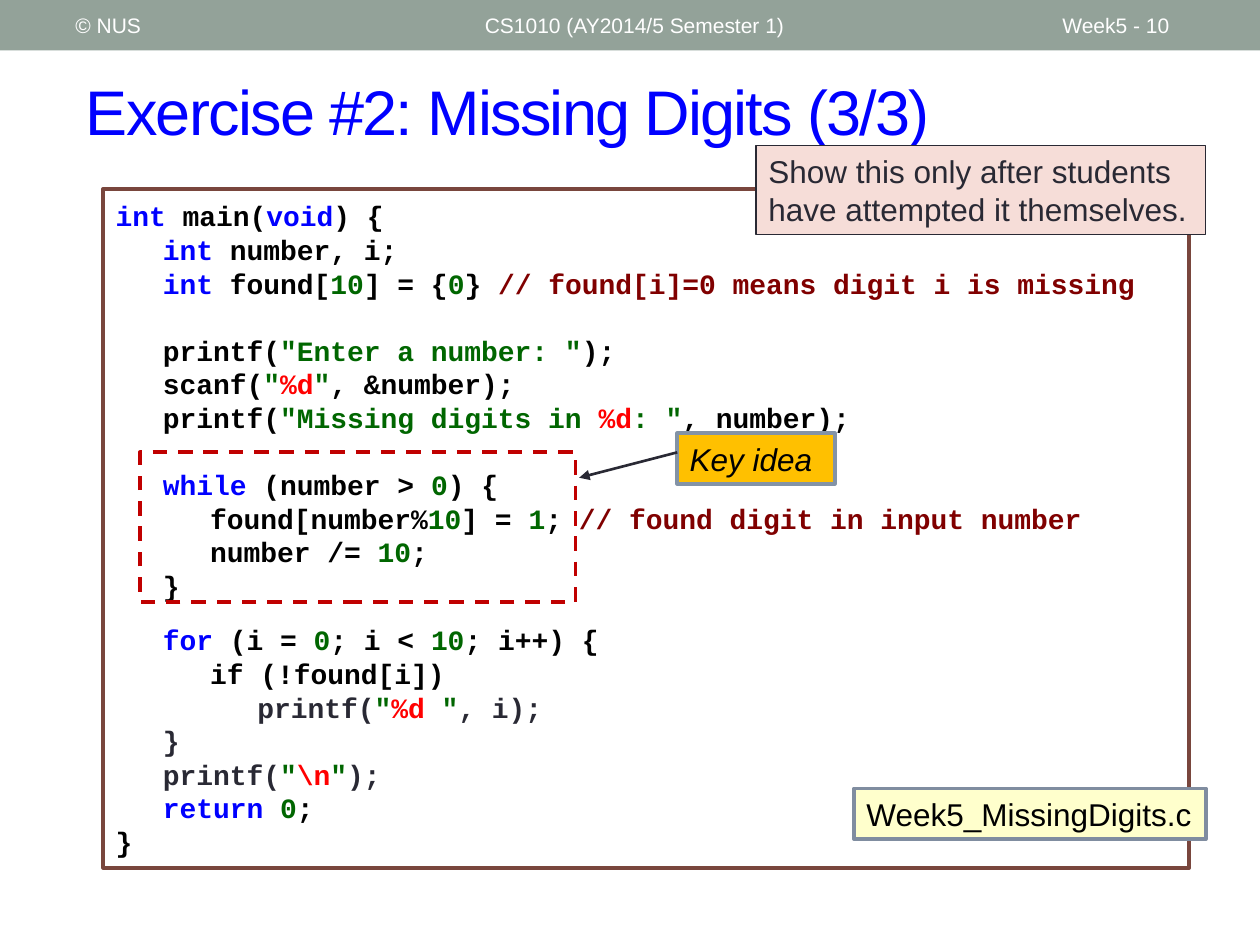
from dataclasses import dataclass
from typing import NamedTuple, Optional

import pptx
import pptx.dml.color
import pptx.enum.dml
import pptx.enum.shapes
import pptx.enum.text
import pptx.oxml
import pptx.oxml.ns
import pptx.util
from lxml import etree

Pt = pptx.util.Pt
WHITE, BLACK, INK = "FFFFFF", "000000", "292934"
KEYWORD, LITERAL, FORMAT, COMMENT = "0000FF", "006600", "FF0000", "800000"
LINE_RATIO = 1.2
TAB_STEP = 27


class Box(NamedTuple):
    left: float
    top: float
    width: float
    height: float


@dataclass
class Label:
    box: Box
    text: str
    size: float
    color: str
    fill: Optional[str] = None
    line: Optional[str] = None
    line_width: float = 2.08
    italic: bool = False
    tracking: float = 0


class CodeLine(NamedTuple):
    indent: int
    spans: list[tuple[str, str]]
    gap: float = 0


HEADER = [
    Label(Box(270, 1.5, 324, 26), "CS1010 (AY2014/5 Semester 1)", 12, WHITE),
    Label(Box(600, 1.5, 84, 26), "Week5 - 10", 12, WHITE),
    Label(Box(36, 1.5, 228, 26), "© NUS", 12, WHITE),
]
TITLE = Label(Box(42, 30, 660, 66), "Exercise #2: Missing Digits (3/3)",
              36, KEYWORD, tracking=-1)
FILE_NAME = Label(Box(488, 450.5, 201, 29), "Week5_MissingDigits.c", 18, BLACK,
                  "FFFFCC", "808DA0")
KEY_IDEA = Label(Box(387, 247.5, 90, 29), "Key idea", 18, BLACK,
                 "FFC000", "8393A6", italic=True)
TEACHER_NOTE = Label(Box(432, 83, 257, 51),
                     "Show this only after students have attempted it themselves.",
                     18, INK, "F6DDD8", INK, 0.75)

CODE = [
    CodeLine(0, [("int", KEYWORD), (" main(", BLACK), ("void", KEYWORD), (") {", BLACK)]),
    CodeLine(1, [("int", KEYWORD), (" number, i;", BLACK)]),
    CodeLine(1, [("int", KEYWORD), (" found[", BLACK), ("10", LITERAL), ("] = {", BLACK),
                 ("0", LITERAL), ("} ", BLACK),
                 ("// found[i]=0 means digit i is missing", COMMENT)]),
    CodeLine(1, [("printf(", BLACK), ('"Enter a number: "', LITERAL), (");", BLACK)], 16),
    CodeLine(1, [("scanf(", BLACK), ('"', LITERAL), ("%d", FORMAT), ('"', LITERAL),
                 (", &number);", BLACK)]),
    CodeLine(1, [("printf(", BLACK), ('"Missing digits in ', LITERAL), ("%d", FORMAT),
                 (': "', LITERAL), (", number);", BLACK)]),
    CodeLine(1, [("while", KEYWORD), (" (number > ", BLACK), ("0", LITERAL),
                 (") {", BLACK)], 16),
    CodeLine(2, [("found[number%", BLACK), ("10", LITERAL), ("] = ", BLACK), ("1", LITERAL),
                 ("; ", BLACK), ("// found digit in input number", COMMENT)]),
    CodeLine(2, [("number /= ", BLACK), ("10", LITERAL), (";", BLACK)]),
    CodeLine(1, [("}", BLACK)]),
    CodeLine(1, [("for", KEYWORD), (" (i = ", BLACK), ("0", LITERAL), ("; i < ", BLACK),
                 ("10", LITERAL), ("; i++) {", BLACK)], 10),
    CodeLine(2, [("if (!found[i])", BLACK)]),
    CodeLine(3, [("printf(", INK), ('"', LITERAL), ("%d ", FORMAT), ('"', LITERAL),
                 (", i);", INK)]),
    CodeLine(1, [("}", INK)]),
    CodeLine(1, [("printf(", INK), ('"', LITERAL), ("\\n", FORMAT), ('"', LITERAL),
                 (");", INK)]),
    CodeLine(1, [("return ", KEYWORD), ("0", LITERAL), (";", BLACK)]),
    CodeLine(0, [("}", BLACK)]),
]


def rgb(color: str) -> pptx.dml.color.RGBColor:
    return pptx.dml.color.RGBColor.from_string(color)


def add_rect(slide, box: Box, fill: Optional[str] = None, line: Optional[str] = None,
             line_width: float = 2.08):
    rect = slide.shapes.add_shape(pptx.enum.shapes.MSO_SHAPE.RECTANGLE, *map(Pt, box))
    rect.shadow.inherit = False
    if fill:
        rect.fill.solid()
        rect.fill.fore_color.rgb = rgb(fill)
    else:
        rect.fill.background()
    if line:
        rect.line.color.rgb = rgb(line)
        rect.line.width = Pt(line_width)
    else:
        rect.line.fill.background()
    return rect


def prepare_frame(shape):
    frame = shape.text_frame
    frame.word_wrap = True
    frame.vertical_anchor = pptx.enum.text.MSO_ANCHOR.MIDDLE
    return frame


def set_font(font, name: str, size: float, color: str) -> None:
    font.name = name
    font.size = Pt(size)
    font.color.rgb = rgb(color)


def add_label(slide, label: Label) -> None:
    if label.fill:
        shape = add_rect(slide, label.box, label.fill, label.line, label.line_width)
    else:
        shape = slide.shapes.add_textbox(*map(Pt, label.box))
    frame = prepare_frame(shape)
    frame.text = label.text
    paragraph = frame.paragraphs[0]
    paragraph.alignment = pptx.enum.text.PP_ALIGN.LEFT
    if label.fill:
        paragraph.line_spacing = Pt(label.size * LINE_RATIO)
    font = paragraph.runs[0].font
    set_font(font, "Arial", label.size, label.color)
    font.italic = label.italic
    if label.tracking:
        paragraph.runs[0]._r.get_or_add_rPr().set("spc", str(round(label.tracking * 100)))


def add_tab_stops(paragraph) -> None:
    properties = paragraph._p.get_or_add_pPr()
    stops = etree.SubElement(properties, pptx.oxml.ns.qn("a:tabLst"))
    for level in (1, 2, 3):
        etree.SubElement(stops, pptx.oxml.ns.qn("a:tab"),
                         pos=str(Pt(TAB_STEP * level)), algn="l")


def add_code(slide, box: Box, lines: list[CodeLine], size: float) -> None:
    frame = prepare_frame(add_rect(slide, box, WHITE, "79463D"))
    for number, line in enumerate(lines):
        paragraph = frame.add_paragraph() if number else frame.paragraphs[0]
        add_tab_stops(paragraph)
        paragraph.alignment = pptx.enum.text.PP_ALIGN.LEFT
        paragraph.line_spacing = Pt(size * LINE_RATIO)
        paragraph.space_before = Pt(line.gap * LINE_RATIO)
        for position, (text, color) in enumerate(line.spans):
            run = paragraph.add_run()
            run.text = text if position else "\t" * line.indent + text
            set_font(run.font, "Courier New", size, color)
            run.font.bold = True


def add_arrow(slide, start: tuple[float, float], end: tuple[float, float]) -> None:
    arrow = slide.shapes.add_connector(pptx.enum.shapes.MSO_CONNECTOR.STRAIGHT,
                                       *map(Pt, start + end))
    arrow.line.color.rgb = rgb(INK)
    arrow.line.width = Pt(1.5)
    etree.SubElement(arrow.line._get_or_add_ln(), pptx.oxml.ns.qn("a:tailEnd"),
                     type="triangle")
    etree.SubElement(arrow._element.spPr, pptx.oxml.ns.qn("a:effectLst"))


def main() -> None:
    deck = pptx.Presentation()
    deck.slide_width, deck.slide_height = Pt(720), Pt(540)
    slide = deck.slides.add_slide(deck.slide_layouts[6])

    # Header band and title
    add_rect(slide, Box(0, 0, 720, 28.8), "93A299")
    for label in (TITLE, *HEADER):
        add_label(slide, label)

    # Program listing with its file name
    add_code(slide, Box(59, 108, 620.5, 388), CODE, 16)
    add_label(slide, FILE_NAME)

    # Key idea around the while loop
    loop_frame = add_rect(slide, Box(80, 258.5, 249, 85.5), line="C00000")
    loop_frame.line.dash_style = pptx.enum.dml.MSO_LINE.DASH
    add_label(slide, KEY_IDEA)
    add_arrow(slide, (387, 258.5), (331, 273))

    # Note for the teacher
    add_label(slide, TEACHER_NOTE)

    deck.save("out.pptx")


if __name__ == "__main__":
    main()
